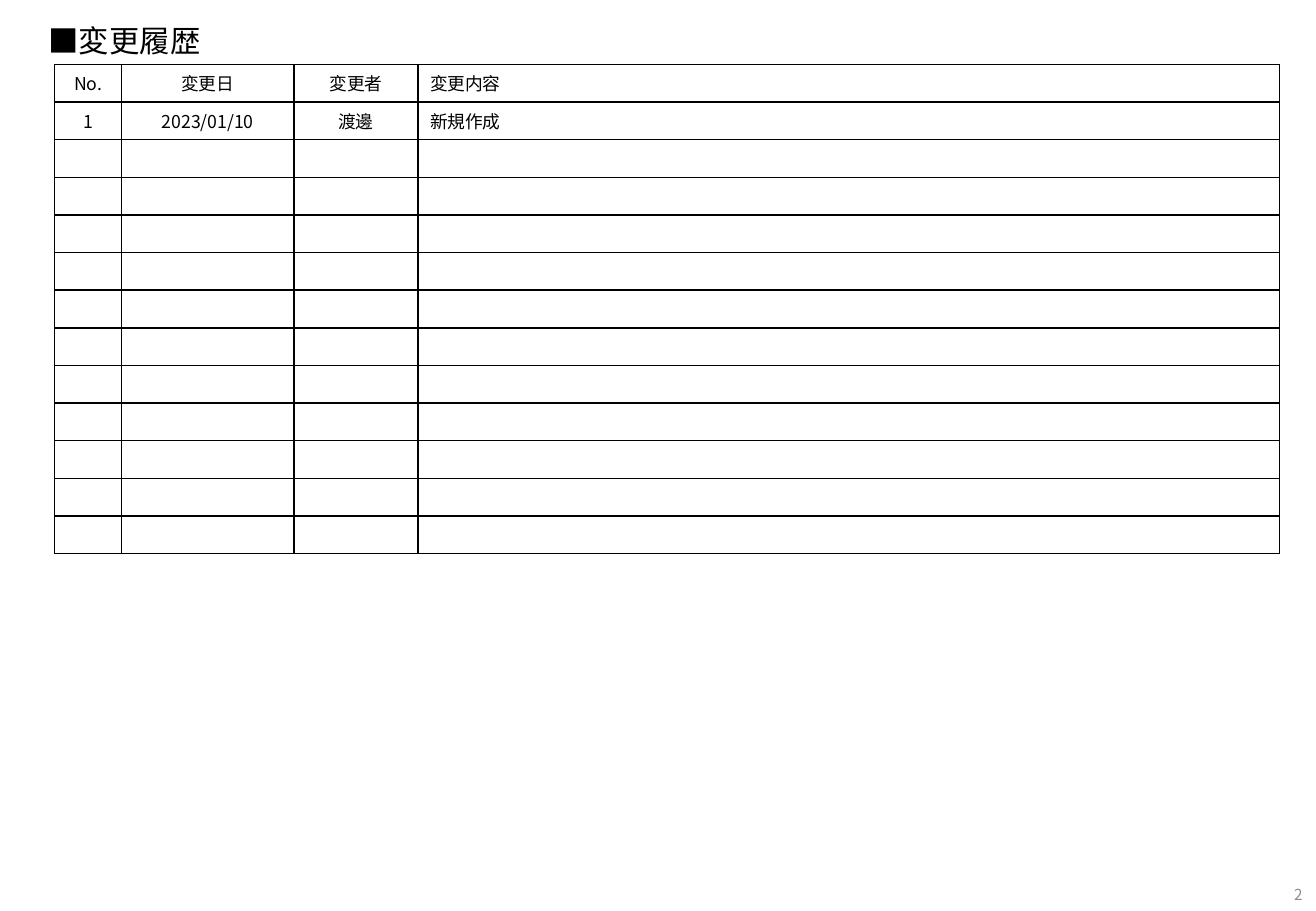
from dataclasses import dataclass

from lxml import etree
from pptx import Presentation
from pptx.dml.color import RGBColor
from pptx.enum.text import MSO_ANCHOR, PP_ALIGN
from pptx.oxml.ns import qn
from pptx.util import Inches, Pt

LEFT, CENTER, RIGHT = PP_ALIGN.LEFT, PP_ALIGN.CENTER, PP_ALIGN.RIGHT
MIDDLE = MSO_ANCHOR.MIDDLE
TITLE_ONLY_LAYOUT = 5

HEADING = "■変更履歴"
PAGE_NUMBER = "2"
# Heading, width in inches, alignment
COLUMNS = [
    ("No.", 0.55, CENTER),
    ("変更日", 1.42, CENTER),
    ("変更者", 1.02, CENTER),
    ("変更内容", 7.09, LEFT),
]
CHANGES = [("1", "2023/01/10", "渡邊", "新規作成")]
EMPTY_ROWS = 11

HEADING_BOX = (0.3, 0.13, 3.0, 0.4)
PAGE_BOX = (10.08, 7.28, 0.64, 0.16)
TABLE_LEFT, TABLE_TOP, ROW_HEIGHT = 0.45, 0.53, 0.31


@dataclass(frozen=True)
class Theme:
    """Colours, fonts and sizes of the slide."""
    ink: str = "000000"
    paper: str = "FFFFFF"
    muted: str = "8C8C8C"
    font: str = "Noto Sans CJK JP"
    page_font: str = "Noto Sans CJK KR"
    heading_size: float = 18
    table_size: float = 10.5
    page_size: float = 9
    border: float = 1


THEME = Theme()


def apply(target, values):
    """Set each attribute in values on target."""
    for name, value in values.items():
        setattr(target, name, value)


def write(frame, text, size, align=LEFT, color=THEME.ink, font=THEME.font):
    """Put one formatted line of text in a text frame."""
    paragraph = frame.paragraphs[0]
    paragraph.alignment = align
    if not text:
        etree.SubElement(paragraph._p, qn("a:endParaRPr"), sz=str(int(size * 100)))
        return
    run = paragraph.add_run()
    run.text = text
    apply(run.font, {"size": Pt(size), "name": font, "bold": False})
    run.font.color.rgb = RGBColor.from_string(color)
    latin = run.font._element.find(qn("a:latin"))
    east_asian = etree.Element(qn("a:ea"), typeface=font)
    latin.addnext(east_asian)


def add_borders(cell):
    """Draw a solid line on all four sides of a cell."""
    properties = cell._tc.get_or_add_tcPr()
    for position, side in enumerate(("lnL", "lnR", "lnT", "lnB")):
        line = etree.Element(qn(f"a:{side}"), w=str(Pt(THEME.border)))
        fill = etree.SubElement(line, qn("a:solidFill"))
        etree.SubElement(fill, qn("a:srgbClr"), val=THEME.ink)
        properties.insert(position, line)


def add_heading(slide):
    """Place the heading in the title placeholder."""
    heading = slide.shapes.title
    box = map(Inches, HEADING_BOX)
    apply(heading, dict(zip(("left", "top", "width", "height"), box)))
    apply(heading.text_frame, {"word_wrap": False, "vertical_anchor": MIDDLE})
    write(heading.text_frame, HEADING, THEME.heading_size)


def add_history(slide):
    """Build the table of changes with blank rows for later entries."""
    headings, widths, alignments = zip(*COLUMNS)
    rows = [headings, *CHANGES] + [("",) * len(COLUMNS)] * EMPTY_ROWS
    history = slide.shapes.add_table(
        len(rows), len(COLUMNS), Inches(TABLE_LEFT), Inches(TABLE_TOP),
        Inches(sum(widths)), Inches(ROW_HEIGHT * len(rows))).table
    apply(history, {"first_row": False, "horz_banding": False})
    for column, width in zip(history.columns, widths):
        column.width = Inches(width)
    for row, entries in zip(history.rows, rows):
        row.height = Inches(ROW_HEIGHT)
        for cell, entry, align in zip(row.cells, entries, alignments):
            apply(cell, {"vertical_anchor": MIDDLE,
                         "margin_top": Inches(0.03), "margin_bottom": Inches(0.03)})
            cell.fill.solid()
            cell.fill.fore_color.rgb = RGBColor.from_string(THEME.paper)
            add_borders(cell)
            write(cell.text_frame, entry, THEME.table_size, align)


def add_page_number(slide):
    """Place the page number at the bottom right."""
    frame = slide.shapes.add_textbox(*map(Inches, PAGE_BOX)).text_frame
    apply(frame, {"word_wrap": True, "vertical_anchor": MIDDLE,
                  "margin_top": 0, "margin_bottom": 0, "margin_right": 0})
    write(frame, PAGE_NUMBER, THEME.page_size, RIGHT, THEME.muted, THEME.page_font)


def main():
    """Build and save the slide."""
    deck = Presentation()
    apply(deck, {"slide_width": Inches(10.83), "slide_height": Inches(7.5)})
    slide = deck.slides.add_slide(deck.slide_layouts[TITLE_ONLY_LAYOUT])
    add_heading(slide)
    add_history(slide)
    add_page_number(slide)
    deck.save("out.pptx")


main()
